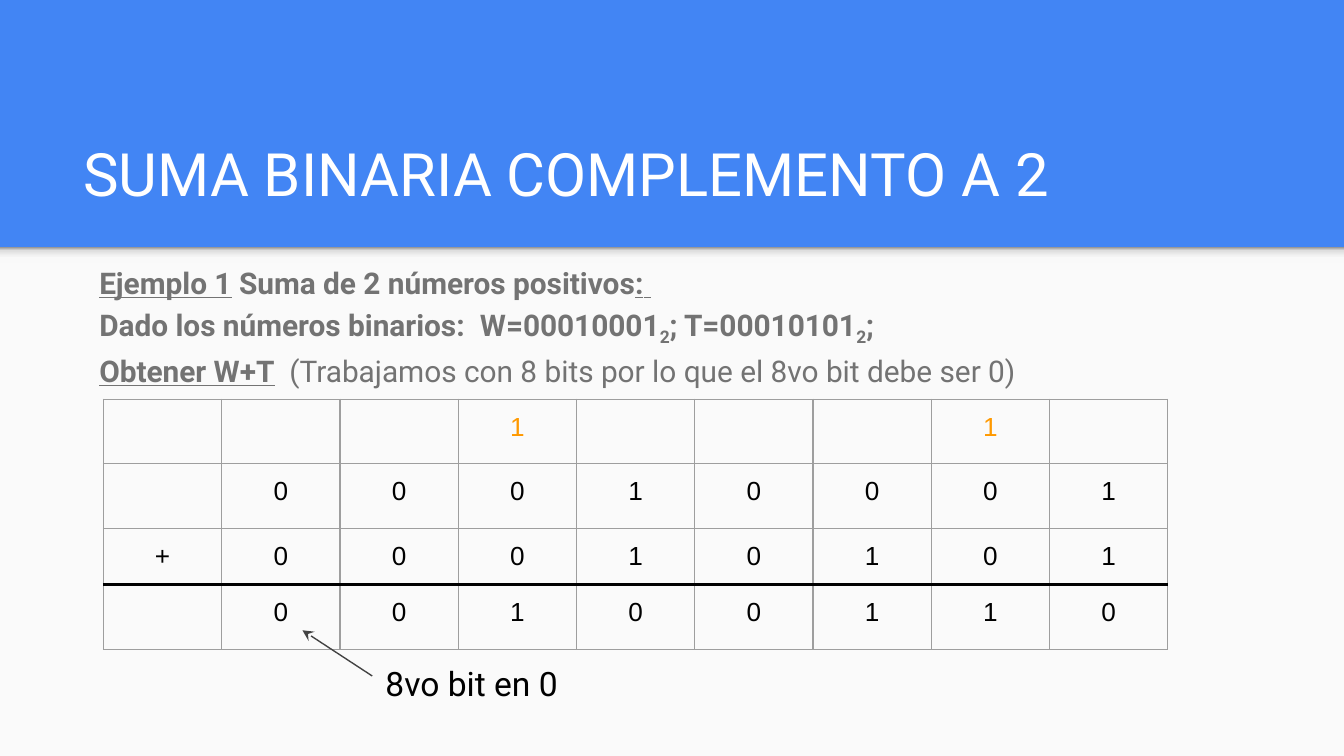
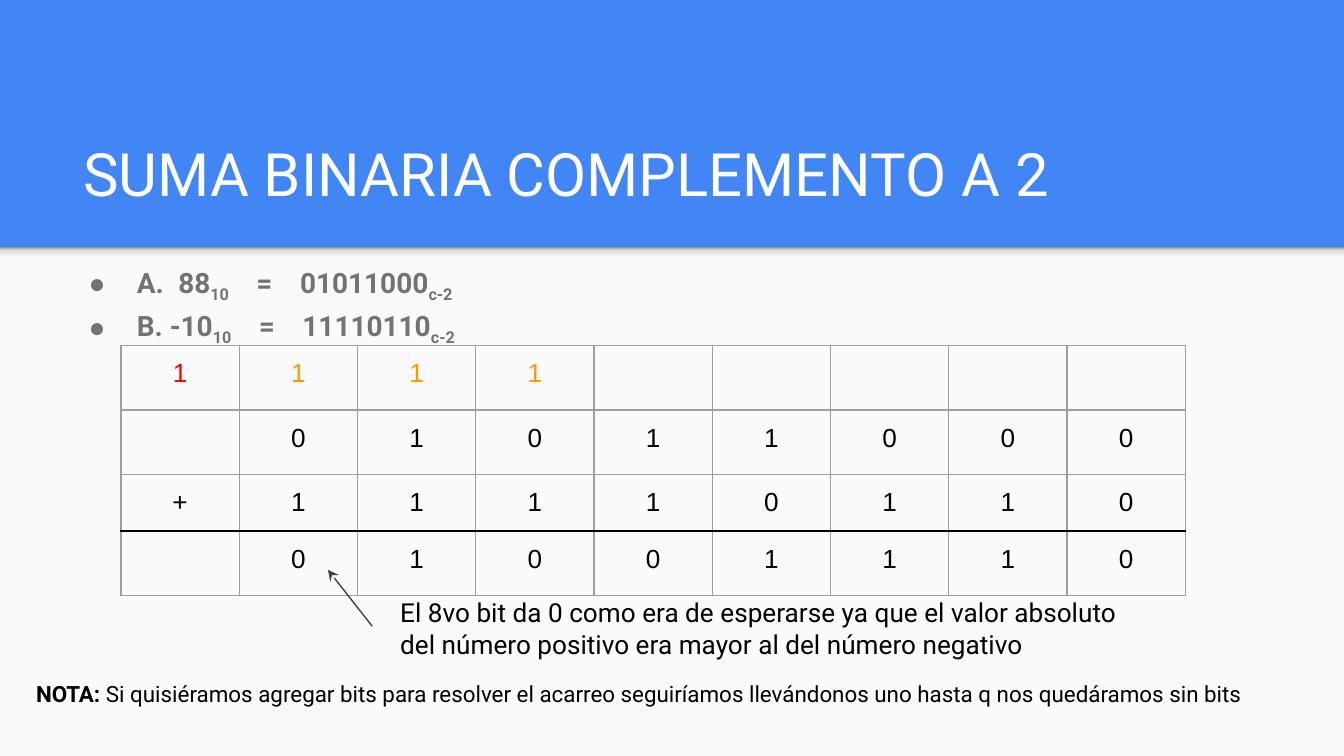
from dataclasses import dataclass

import lxml.etree
import pptx
import pptx.dml.color
import pptx.enum.shapes
import pptx.enum.text
import pptx.oxml.ns
import pptx.slide
import pptx.table
import pptx.text.text
import pptx.util

PX = 9144
SLIDE_WIDTH = 1000
BAND_TOP, PAPER_HEIGHT, SHADE_HEIGHT = 184, 379, 12
INSET = 10
COLUMN_WIDTH, ROW_HEIGHT = 88, 42

BLUE = pptx.dml.color.RGBColor(0x42, 0x85, 0xF4)
PAPER = pptx.dml.color.RGBColor(0xFA, 0xFA, 0xFA)
WHITE = pptx.dml.color.RGBColor(0xFF, 0xFF, 0xFF)
BLACK = pptx.dml.color.RGBColor(0x00, 0x00, 0x00)
GRAY = pptx.dml.color.RGBColor(0x73, 0x73, 0x73)
ARROW_GRAY = pptx.dml.color.RGBColor(0x42, 0x42, 0x42)
GRID_GRAY = pptx.dml.color.RGBColor(0x9E, 0x9E, 0x9E)
ORANGE = pptx.dml.color.RGBColor(0xFF, 0x99, 0x00)
RED = pptx.dml.color.RGBColor(0xFF, 0x00, 0x00)
SHADE_LIGHT = pptx.dml.color.RGBColor(0xF9, 0xF9, 0xF9)
SHADE_MIDDLE = pptx.dml.color.RGBColor(0xDE, 0xDE, 0xDE)
SHADE_DARK = pptx.dml.color.RGBColor(0x99, 0x99, 0x99)
SHADE_STOPS = ((0, SHADE_LIGHT), (36, SHADE_LIGHT), (80, SHADE_MIDDLE), (100, SHADE_DARK))

TITLE = "SUMA BINARIA COMPLEMENTO A 2"
TEXT_FONT, DIGIT_FONT = "Roboto", "Arial"

qn = pptx.oxml.ns.qn


@dataclass(frozen=True)
class Box:
    left: int
    top: int
    width: int
    height: int

    def emu(self) -> tuple[int, int, int, int]:
        return self.left * PX, self.top * PX, self.width * PX, self.height * PX


@dataclass(frozen=True)
class Span:
    text: str
    bold: bool = False
    underline: bool = False
    subscript: bool = False
    spacing: int = 0


@dataclass(frozen=True)
class TextBlock:
    box: Box
    lines: tuple[tuple[Span, ...], ...]
    size: int
    color: pptx.dml.color.RGBColor = BLACK
    line_spacing: float = 1.0
    margin: int = 0
    hanging: int = 0


@dataclass(frozen=True)
class Arrow:
    start: tuple[int, int]
    tip: tuple[int, int]


@dataclass(frozen=True)
class BinarySum:
    left: int
    top: int
    rows: tuple[str, ...]


@dataclass(frozen=True)
class Example:
    statement: TextBlock
    binary_sum: BinarySum
    arrow: Arrow
    remarks: tuple[TextBlock, ...]


def bold(text: str) -> Span:
    return Span(text, bold=True)


def heading(text: str) -> Span:
    return Span(text, bold=True, underline=True)


def base(text: str) -> Span:
    return Span(text, bold=True, subscript=True)


def gap(points: int) -> Span:
    return Span(" ", bold=True, spacing=points)


EXAMPLES = (
    Example(
        TextBlock(
            Box(52, 183, 899, 108),
            (
                (
                    heading("Ejemplo 1"),
                    bold(" Suma de 2 números positivos"),
                    heading(":"),
                    Span(" ", underline=True),
                ),
                (
                    bold("Dado los números binarios:"), gap(4), bold("W=00010001"), base("2"),
                    bold("; T=00010101"), base("2"), bold(";"),
                ),
                (
                    heading("Obtener W+T"),
                    gap(4),
                    Span("(Trabajamos con 8 bits por lo que el 8vo bit debe ser 0)"),
                ),
            ),
            16, GRAY, 1.15, 12,
        ),
        BinarySum(77, 297, ("...1...1.", ".00010001", "+00010101", ".00100110")),
        Arrow((277, 503), (225, 469)),
        (TextBlock(Box(277, 483, 583, 68), ((Span("8vo bit en 0"),),), 18),),
    ),
    Example(
        TextBlock(
            Box(42, 183, 899, 74),
            (
                (
                    bold("A."), gap(4), bold("88"), base("10"),
                    gap(11), bold("="), gap(11), bold("01011000"), base("c-2"),
                ),
                (
                    bold("B. -10"), base("10"),
                    gap(11), bold("="), gap(11), bold("11110110"), base("c-2"),
                ),
            ),
            15, GRAY, 1.15, 50, 36,
        ),
        BinarySum(90, 257, ("1111.....", ".01011000", "+11110110", ".01001110")),
        Arrow((277, 466), (244, 424)),
        (
            TextBlock(
                Box(288, 434, 583, 68),
                ((Span(
                    "El 8vo bit da 0 como era de esperarse ya que el valor absoluto "
                    "del número positivo era mayor al del número negativo"
                ),),),
                14,
            ),
            TextBlock(
                Box(17, 496, 965, 84),
                ((
                    bold("NOTA:"),
                    Span(
                        " Si quisiéramos agregar bits para resolver el acarreo "
                        "seguiríamos llevándonos uno hasta q nos quedáramos sin bits"
                    ),
                ),),
                12,
            ),
        ),
    ),
)


def add_span(
    paragraph: pptx.text.text._Paragraph,
    span: Span,
    size: int,
    color: pptx.dml.color.RGBColor,
    font_name: str = TEXT_FONT,
) -> None:
    run = paragraph.add_run()
    run.text = span.text
    run.font.name = font_name
    run.font.size = pptx.util.Pt(size)
    run.font.color.rgb = color
    run.font.bold = span.bold
    run.font.underline = span.underline
    properties = run._r.get_or_add_rPr()
    if span.subscript:
        properties.set("baseline", "-25000")
    if span.spacing:
        properties.set("spc", str(span.spacing * 100))


def prepare_frame(frame: pptx.text.text.TextFrame) -> None:
    frame.word_wrap = True
    frame.auto_size = pptx.enum.text.MSO_AUTO_SIZE.NONE
    frame.margin_left = frame.margin_right = INSET * PX
    frame.margin_top = frame.margin_bottom = INSET * PX


def add_text_block(slide: pptx.slide.Slide, block: TextBlock) -> None:
    frame = slide.shapes.add_textbox(*block.box.emu()).text_frame
    prepare_frame(frame)
    for index, line in enumerate(block.lines):
        paragraph = frame.add_paragraph() if index else frame.paragraphs[0]
        paragraph.line_spacing = block.line_spacing
        properties = paragraph._p.get_or_add_pPr()
        properties.set("marL", str(block.margin * PX))
        properties.set("indent", str(-block.hanging * PX))
        if block.hanging:
            bullet_color = lxml.etree.SubElement(properties, qn("a:buClr"))
            lxml.etree.SubElement(bullet_color, qn("a:srgbClr"), val=str(block.color))
            lxml.etree.SubElement(properties, qn("a:buFont"), typeface=DIGIT_FONT)
            lxml.etree.SubElement(properties, qn("a:buChar"), char="●")
        for span in line:
            add_span(paragraph, span, block.size, block.color)


def add_bands(slide: pptx.slide.Slide) -> None:
    paper, shade = (
        slide.shapes.add_shape(
            pptx.enum.shapes.MSO_SHAPE.RECTANGLE, *Box(0, BAND_TOP, SLIDE_WIDTH, height).emu()
        )
        for height in (PAPER_HEIGHT, SHADE_HEIGHT)
    )
    for band in (paper, shade):
        band.shadow.inherit = False
        band.line.fill.background()
    paper.fill.solid()
    paper.fill.fore_color.rgb = PAPER
    shade.fill.gradient()
    shade.fill.gradient_angle = 90
    stops = next(shade._element.iter(qn("a:gsLst")))
    stops.clear()
    for position, color in SHADE_STOPS:
        stop = lxml.etree.SubElement(stops, qn("a:gs"), pos=str(position * 1000))
        lxml.etree.SubElement(stop, qn("a:srgbClr"), val=str(color))


def set_title(slide: pptx.slide.Slide) -> None:
    title = slide.shapes.title
    title.left, title.top, title.width, title.height = Box(52, 81, 899, 84).emu()
    prepare_frame(title.text_frame)
    title.text_frame.vertical_anchor = pptx.enum.text.MSO_ANCHOR.BOTTOM
    paragraph = title.text_frame.paragraphs[0]
    paragraph.alignment = pptx.enum.text.PP_ALIGN.LEFT
    add_span(paragraph, Span(TITLE), 32, WHITE)


def set_borders(cell: pptx.table._Cell, heavy_side: str) -> None:
    properties = cell._tc.get_or_add_tcPr()
    for index, side in enumerate(("L", "R", "T", "B")):
        heavy = side == heavy_side
        width = pptx.util.Pt(1.5 if heavy else 0.75)
        border = lxml.etree.Element(qn(f"a:ln{side}"), w=str(width))
        fill = lxml.etree.SubElement(border, qn("a:solidFill"))
        color = BLACK if heavy else GRID_GRAY
        lxml.etree.SubElement(fill, qn("a:srgbClr"), val=str(color))
        properties.insert(index, border)


def add_binary_sum(slide: pptx.slide.Slide, binary_sum: BinarySum) -> None:
    row_count, column_count = len(binary_sum.rows), len(binary_sum.rows[0])
    box = Box(binary_sum.left, binary_sum.top, column_count * COLUMN_WIDTH, row_count * ROW_HEIGHT)
    grid = slide.shapes.add_table(row_count, column_count, *box.emu()).table
    grid.first_row = grid.horz_banding = False
    heavy_sides = {row_count - 2: "B", row_count - 1: "T"}
    for row, symbols in enumerate(binary_sum.rows):
        for column, symbol in enumerate(symbols):
            cell = grid.cell(row, column)
            cell.fill.background()
            cell.margin_left = cell.margin_right = INSET * PX
            cell.margin_top = cell.margin_bottom = INSET * PX
            set_borders(cell, heavy_sides.get(row, ""))
            paragraph = cell.text_frame.paragraphs[0]
            paragraph.alignment = pptx.enum.text.PP_ALIGN.CENTER
            if symbol == ".":
                ending = lxml.etree.SubElement(paragraph._p, qn("a:endParaRPr"), sz="1800")
                lxml.etree.SubElement(ending, qn("a:latin"), typeface=DIGIT_FONT)
                continue
            carry_color = ORANGE if column else RED
            add_span(paragraph, Span(symbol), 14, BLACK if row else carry_color, DIGIT_FONT)


def add_arrow(slide: pptx.slide.Slide, arrow: Arrow) -> None:
    ends = (length * PX for length in arrow.start + arrow.tip)
    pointer = slide.shapes.add_connector(pptx.enum.shapes.MSO_CONNECTOR.STRAIGHT, *ends)
    pointer.line.color.rgb = ARROW_GRAY
    pointer.line.width = pptx.util.Pt(0.75)
    lxml.etree.SubElement(pointer.line._get_or_add_ln(), qn("a:tailEnd"), type="stealth")
    lxml.etree.SubElement(pointer._element.spPr, qn("a:effectLst"))


def main() -> None:
    deck = pptx.Presentation()
    deck.slide_width = SLIDE_WIDTH * PX
    deck.slide_height = deck.slide_width * 9 // 16
    background = deck.slide_master.background.fill
    background.solid()
    background.fore_color.rgb = BLUE
    title_only = deck.slide_layouts.get_by_name("Title Only")
    for example in EXAMPLES:
        slide = deck.slides.add_slide(title_only)
        add_bands(slide)
        set_title(slide)
        add_text_block(slide, example.statement)
        add_binary_sum(slide, example.binary_sum)
        add_arrow(slide, example.arrow)
        for remark in example.remarks:
            add_text_block(slide, remark)
    deck.save("out.pptx")


if __name__ == "__main__":
    main()
